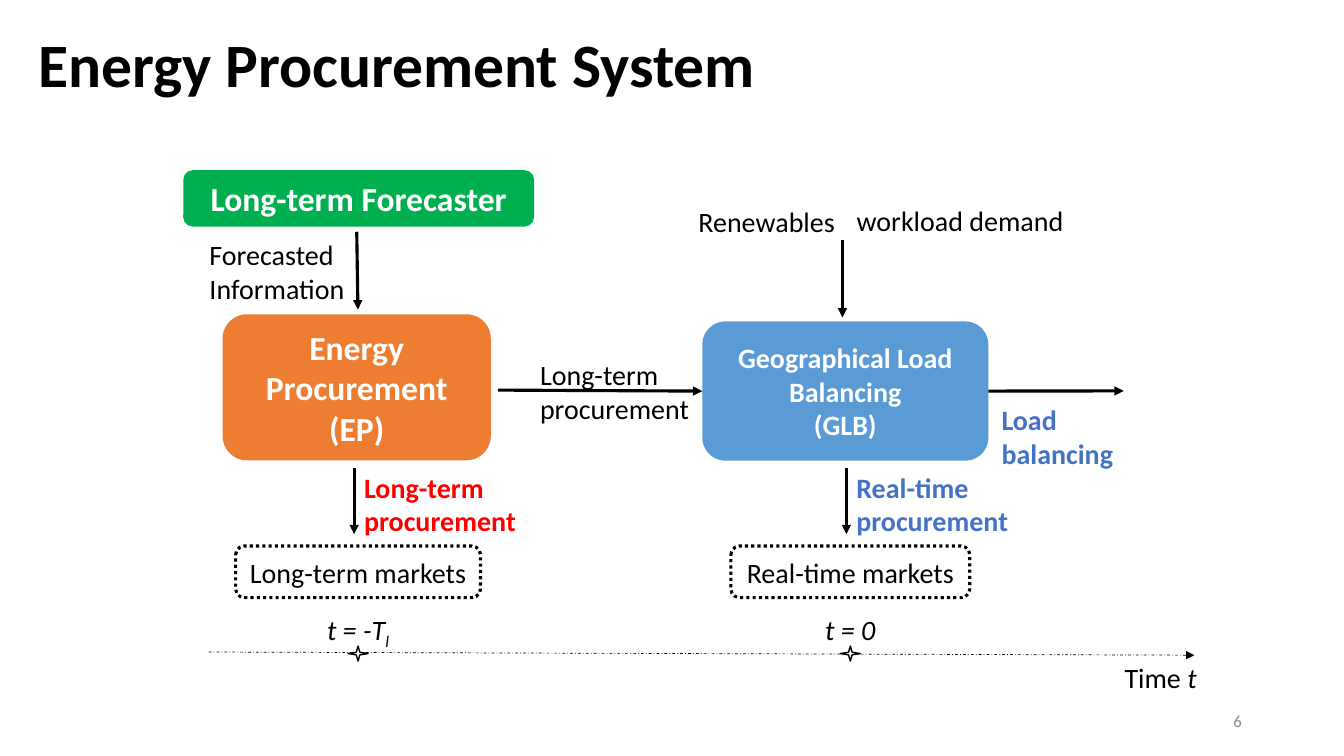
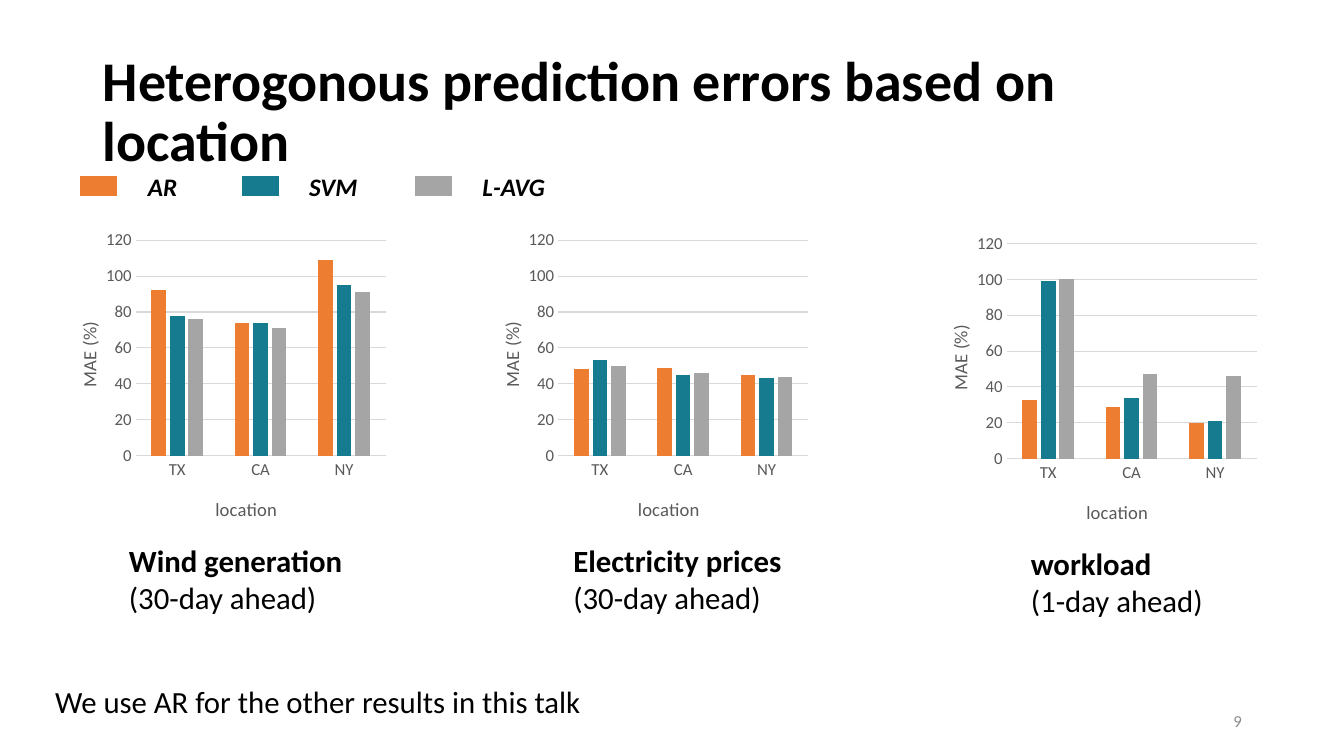
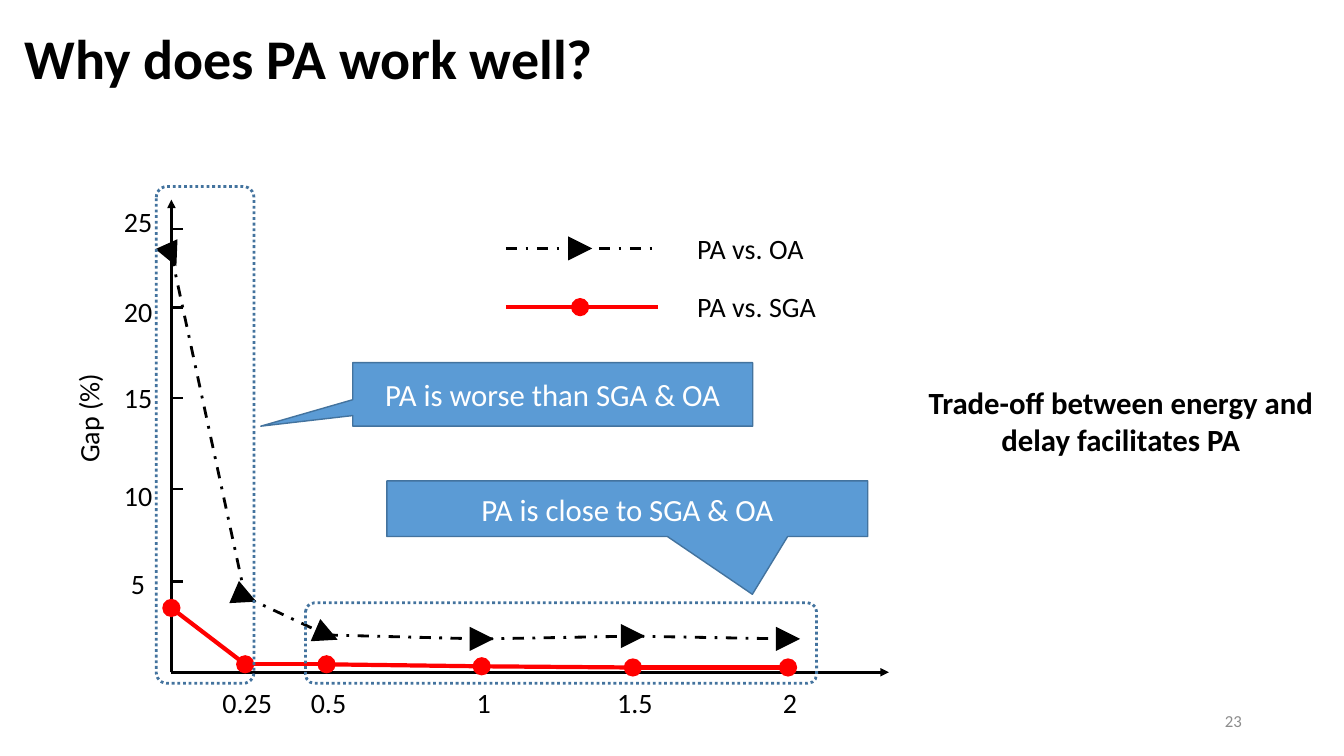
import dataclasses
import itertools

import lxml.etree
import pptx
import pptx.chart.data
import pptx.dml.color
import pptx.enum.chart
import pptx.enum.dml
import pptx.enum.shapes
import pptx.enum.text
import pptx.oxml
import pptx.oxml.ns
import pptx.util

Cm = pptx.util.Cm
SHAPE = pptx.enum.shapes.MSO_SHAPE
DASH = pptx.enum.dml.MSO_LINE
ALIGN = pptx.enum.text.PP_ALIGN
ANCHOR = pptx.enum.text.MSO_ANCHOR
qn = pptx.oxml.ns.qn

FONT = "Calibri"
COLOURS = {
    "black": "000000", "white": "FFFFFF", "red": "FF0000", "green": "00B050",
    "orange": "ED7D31", "blue": "5B9BD5", "label blue": "4472C4",
    "outline": "43739E", "teal": "167B8F", "silver": "A5A5A5",
    "axis text": "595959", "grid": "D9D9D9", "number": "8C8C8C",
}


@dataclasses.dataclass
class Box:
    """A region in centimetres."""
    left: float
    top: float
    width: float
    height: float

    def inner(self, left, top, width, height):
        return Box(self.left + left, self.top + top, width, height)

    def point(self, x, y):
        return self.left + x, self.top + y

    def lengths(self):
        return Cm(self.left), Cm(self.top), Cm(self.width), Cm(self.height)


PAGE = Box(0, 0, 33.87, 19.05)


# ---- Shared helpers ----

def colour_of(name):
    return pptx.dml.color.RGBColor.from_string(COLOURS[name])


def style_font(font, size, colour="black", bold=False, italic=False):
    font.name = FONT
    font.size = pptx.util.Pt(size)
    font.bold = bold
    font.italic = italic
    font.color.rgb = colour_of(colour)


def write(frame, paras, size=20, align=ALIGN.LEFT, anchor=ANCHOR.TOP,
          wrap=True, spacing=None, **style):
    """Each paragraph is a string or a list of (text, style changes)."""
    frame.word_wrap = wrap
    frame.vertical_anchor = anchor
    for index, spans in enumerate(paras):
        para = frame.paragraphs[0] if index == 0 else frame.add_paragraph()
        para.alignment = align
        if spacing:
            para.line_spacing = spacing
        for text, changes in [(spans, {})] if isinstance(spans, str) else spans:
            span = para.add_run()
            span.text = text
            changes = dict(changes)
            baseline = changes.pop("baseline", None)
            style_font(span.font, size, **{**style, **changes})
            if baseline:
                span.font._element.set("baseline", baseline)


def add_text(page, box, paras, **options):
    shape = page.shapes.add_textbox(*box.lengths())
    write(shape.text_frame, paras, **options)
    return shape


def add_shape(page, kind, box, fill=None, outline=None, weight=1, dash=None,
              adjust=(), paras=(), **options):
    shape = page.shapes.add_shape(kind, *box.lengths())
    shape.shadow.inherit = False
    if fill:
        shape.fill.solid()
        shape.fill.fore_color.rgb = colour_of(fill)
    else:
        shape.fill.background()
    if outline:
        shape.line.color.rgb = colour_of(outline)
        shape.line.width = pptx.util.Pt(weight)
        if dash:
            shape.line.dash_style = dash
    else:
        shape.line.fill.background()
    for index, value in enumerate(adjust):
        shape.adjustments[index] = value
    write(shape.text_frame, paras, align=ALIGN.CENTER, anchor=ANCHOR.MIDDLE, **options)
    return shape


def add_line(page, start, end, colour="black", weight=2.25, dash=None, arrow=False):
    line = page.shapes.add_connector(
        pptx.enum.shapes.MSO_CONNECTOR.STRAIGHT,
        *(Cm(value) for value in (*start, *end)))
    line.line.color.rgb = colour_of(colour)
    line.line.width = pptx.util.Pt(weight)
    if dash:
        line.line.dash_style = dash
    if arrow:
        outline = line.line._get_or_add_ln()
        lxml.etree.SubElement(outline, qn("a:tailEnd"), type="triangle")
    lxml.etree.SubElement(line._element.spPr, qn("a:effectLst"))
    return line


def add_page(deck, title, title_box, title_size, number):
    page = deck.slides.add_slide(deck.slide_layouts[6])
    add_text(page, title_box, [title], size=title_size, bold=True,
             anchor=ANCHOR.MIDDLE, spacing=0.9)
    add_text(page, PAGE.inner(23.93, 17.65, 7.62, 1.02), [number], size=12,
             colour="number", align=ALIGN.RIGHT, anchor=ANCHOR.MIDDLE)
    return page


# ---- Energy procurement system ----

def add_market_branch(page, box, label, colour, market, moment):
    """Arrow from a stage down to its market and its mark on the time line."""
    centre = box.width / 2
    add_line(page, box.point(centre - 0.1, 0.2), box.point(centre - 0.1, 1.86), arrow=True)
    add_text(page, box.inner(centre - 0.1, 0.12, 4.75, 1.96), [label],
             colour=colour, bold=True)
    add_shape(page, SHAPE.ROUNDED_RECTANGLE, box.inner(0, 2.16, box.width, 1.3),
              outline="black", weight=2.25, dash=DASH.ROUND_DOT, paras=[market])
    add_text(page, box.inner(centre - 1.13, 3.7, 2.26, 1.12), [moment],
             italic=True, align=ALIGN.CENTER, wrap=False)
    add_shape(page, SHAPE.STAR_4_POINT, box.inner(centre - 0.25, 4.68, 0.5, 0.38),
              fill="white", outline="black")


def add_procurement_diagram(page, box):
    # Forecaster and the two stages
    add_shape(page, SHAPE.ROUNDED_RECTANGLE, box.inner(0, 0, 8.84, 1.42), fill="green",
              paras=["Long-term Forecaster"], size=24, colour="white", bold=True)
    add_shape(page, SHAPE.ROUNDED_RECTANGLE, box.inner(0.99, 3.63, 6.76, 3.68),
              fill="orange", paras=["Energy Procurement (EP)"], size=24,
              colour="white", bold=True)
    balancer = add_shape(page, SHAPE.ROUNDED_RECTANGLE, box.inner(13.08, 3.81, 7.21, 3.51),
                         fill="blue", paras=["Geographical Load Balancing", "(GLB)"],
                         colour="white", bold=True)

    # Flows between them
    add_line(page, box.point(4.37, 1.55), box.point(4.4, 3.51), arrow=True)
    add_line(page, box.point(16.61, 1.76), box.point(16.61, 3.71), arrow=True)
    supply = add_line(page, box.point(7.93, 5.54), box.point(13.08, 5.57), arrow=True)
    supply.end_connect(balancer, 1)
    output = add_line(page, box.point(20.29, 5.57), box.point(23.7, 5.56), arrow=True)
    output.begin_connect(balancer, 3)
    for left, top, width, height, paras in (
            (0.41, 1.58, 3.94, 1.96, ["Forecasted", "Information"]),
            (8.74, 4.6, 4.47, 1.96, ["Long-term", "procurement"]),
            (12.73, 0.74, 3.99, 1.12, ["Renewables"]),
            (16.72, 0.71, 5.92, 1.12, ["workload demand"]),
            (23.47, 12.22, 2.36, 1.12, [[("Time ", {}), ("t", {"italic": True})]])):
        add_text(page, box.inner(left, top, width, height), paras, wrap=False)
    add_text(page, box.inner(20.37, 5.74, 3.89, 1.96), ["Load balancing"],
             colour="label blue", bold=True)

    # Time line and markets
    add_line(page, box.point(0.64, 12.14), box.point(25.48, 12.22), weight=0.5,
             dash=DASH.DASH_DOT, arrow=True)
    add_market_branch(page, box.inner(1.32, 7.31, 6.17, 5.07), "Long-term procurement",
                      "red", "Long-term markets",
                      [("t = -T", {}), ("l", {"baseline": "-25000"})])
    add_market_branch(page, box.inner(13.8, 7.31, 6.02, 5.07), "Real-time procurement",
                      "label blue", "Real-time markets", "t = 0")


# ---- Prediction errors ----

PREDICTORS = (("AR", "orange"), ("SVM", "teal"), ("L-AVG", "silver"))


def set_layout(parent, index, **fractions):
    """Place a chart part by fractions of the chart's size."""
    for old in parent.findall(qn("c:layout")):
        parent.remove(old)
    layout = parent.makeelement(qn("c:layout"))
    parent.insert(index, layout)
    manual = lxml.etree.SubElement(layout, qn("c:manualLayout"))
    if "w" in fractions:
        lxml.etree.SubElement(manual, qn("c:layoutTarget"), val="inner")
    for name in ("xMode", "yMode"):
        lxml.etree.SubElement(manual, qn("c:" + name), val="edge")
    for name, value in fractions.items():
        lxml.etree.SubElement(manual, qn("c:" + name), val=str(value))


def style_axis(axis, title, rotation, x, y):
    axis.major_tick_mark = pptx.enum.chart.XL_TICK_MARK.NONE
    style_font(axis.tick_labels.font, 12, "axis text")
    frame = axis.axis_title.text_frame
    span = frame.paragraphs[0].add_run()
    span.text = title
    style_font(span.font, 13.3, "axis text")
    frame._txBody.bodyPr.set("rot", rotation)
    frame._txBody.bodyPr.set("vert", "horz")
    set_layout(axis.axis_title._element, 1, x=x, y=y)


def add_error_panel(page, box, values, caption, horizon, caption_left):
    data = pptx.chart.data.CategoryChartData()
    data.categories = ["TX", "CA", "NY"]
    for index, row in enumerate(values, 1):
        data.add_series(f"Series {index}", row)
    chart = page.shapes.add_chart(pptx.enum.chart.XL_CHART_TYPE.COLUMN_CLUSTERED,
                                  *box.lengths(), data).chart
    chart.has_legend = False
    chart.has_title = False
    style_font(chart.font, 10)
    set_layout(chart._chartSpace.chart.plotArea, 0, x=0.26, y=0.05, w=0.72, h=0.69)

    # Columns
    plot = chart.plots[0]
    plot.gap_width = 219
    plot.overlap = -27
    plot.vary_by_categories = False
    for series, (_, colour) in zip(plot.series, PREDICTORS):
        series.format.fill.solid()
        series.format.fill.fore_color.rgb = colour_of(colour)

    # Axes
    style_axis(chart.category_axis, "location", "0", 0.48, 0.86)
    chart.category_axis.format.line.color.rgb = colour_of("grid")
    style_axis(chart.value_axis, "MAE (%)", "-5400000", 0.08, 0.3)
    scale = chart.value_axis
    scale.minimum_scale, scale.maximum_scale, scale.major_unit = 0, 120, 20
    scale.format.line.fill.background()
    scale.major_gridlines.format.line.color.rgb = colour_of("grid")
    scale.major_gridlines.format.line.width = pptx.util.Pt(0.75)

    add_text(page, box.inner(caption_left, box.height, 7, 2.13),
             [[(caption, {"bold": True})], horizon], size=22)


def add_predictor_key(page, box):
    for (name, colour), left in zip(PREDICTORS, (0, 4.06, 8.43)):
        add_shape(page, SHAPE.RECTANGLE, box.inner(left, 0.23, 0.97, 0.53),
                  fill=colour, outline="white")
        add_text(page, box.inner(left + 1.47, 0, 2.11, box.height), [name],
                 size=18, bold=True, italic=True)


# ---- Gap plot ----

X_POSITIONS = (0, 1.86, 3.91, 7.82, 11.63, 15.54)


def add_marker(page, centre, turn=None):
    """A red dot, or a black triangle when a turn is given."""
    kind, size, fill = ((SHAPE.OVAL, 0.46, "red") if turn is None
                        else (SHAPE.ISOSCELES_TRIANGLE, 0.61, "black"))
    x, y = centre
    marker = add_shape(page, kind, Box(x - size / 2, y - size / 2, size, size), fill=fill)
    marker.rotation = turn or 0


def add_curve(page, points, turns, **style):
    for start, end in itertools.pairwise(points):
        add_line(page, start, end, **style)
    for point, turn in zip(points, turns):
        add_marker(page, point, turn)


def add_gap_plot(page, box):
    # Axes, ticks and tick labels
    origin = box.point(0, box.height)
    add_line(page, origin, box.point(box.width, box.height), weight=2, arrow=True)
    add_line(page, origin, box.point(0, 0), weight=2, arrow=True)
    for label, tick, middle in (("5", 9.63, 9.68), ("10", 7.29, 7.47), ("15", 5, 5),
                                ("20", 2.72, 2.82), ("25", 0.74, 0.56)):
        add_line(page, box.point(0.28, tick), box.point(0, tick), weight=2)
        add_text(page, box.inner(-1.46, middle - 0.56, 1.24, 1.12), [label],
                 align=ALIGN.CENTER, wrap=False)
    for label, x in zip(("0.25", "0.5", "1", "1.5", "2"), X_POSITIONS[1:]):
        if label != "0.25":
            add_line(page, box.point(x, box.height - 0.28), box.point(x, box.height), weight=2)
        add_text(page, box.inner(x - 0.84, box.height + 0.2, 1.78, 1.12), [label],
                 align=ALIGN.CENTER, wrap=False)
    title = add_text(page, box.inner(-3.48, 4.93, 2.79, 1.12), ["Gap (%)"], wrap=False)
    title.rotation = 270

    # Curves and their key
    dashed = {"weight": 2, "dash": DASH.DASH_DOT}
    solid = {"weight": 3, "colour": "red"}
    for name, heights, turns, style, key_top in (
            ("PA vs. SGA", (10.29, 11.71, 11.71, 11.76, 11.79, 11.79), [None] * 6, solid, 2.71),
            ("PA vs. OA", (1.4, 10.01, 10.97, 11.07, 11, 11.07),
             [155.8, 113.4, 113.4, 90, 90, 90], dashed, 1.23)):
        points = [box.point(x, y) for x, y in zip(X_POSITIONS, heights)]
        add_curve(page, points, turns, **style)
        add_line(page, box.point(8.43, key_top), box.point(12.25, key_top), **style)
        add_marker(page, box.point(10.3, key_top), turns[-1])
        add_text(page, box.inner(13, key_top - 0.56, 3.53, 1.12), [name], wrap=False)

    # Highlighted ranges and remarks
    for frame in (box.inner(-0.38, -0.33, 2.46, 12.52), box.inner(3.38, 10.16, 12.88, 2.03)):
        add_shape(page, SHAPE.ROUNDED_RECTANGLE, frame, outline="outline", weight=2,
                  dash=DASH.ROUND_DOT, adjust=(0.11,))
    for frame, pointer, remark in (
            (box.inner(4.57, 4.11, 10.08, 1.6), (-0.73, 0.5), "PA is worse than SGA & OA"),
            (box.inner(5.43, 7.09, 12.12, 1.4), (0.26, 1.54), "PA is close to SGA & OA")):
        add_shape(page, SHAPE.RECTANGULAR_CALLOUT, frame, fill="blue", outline="outline",
                  adjust=pointer, paras=[remark], size=22, colour="white")


def main():
    deck = pptx.Presentation()
    deck.slide_width, deck.slide_height = Cm(PAGE.width), Cm(PAGE.height)

    page = add_page(deck, "Energy Procurement System",
                    PAGE.inner(0.71, 0.23, 29.21, 2.95), 44, "6")
    add_procurement_diagram(page, PAGE.inner(4.62, 4.29, 25.48, 13.34))

    page = add_page(deck, "Heterogonous prediction errors based on location",
                    PAGE.inner(2.34, 1.02, 29.21, 3.68), 40, "9")
    add_predictor_key(page, PAGE.inner(2.01, 4.19, 11.96, 1.02))
    for left, top, values, caption, horizon, caption_left in (
            (1.14, 5.66, ((92, 74, 109), (78, 74, 95), (76, 71, 91)),
             "Wind generation", "(30-day ahead)", 1.86),
            (11.79, 5.66, ((48, 49, 45), (53, 45, 43), (50, 46, 44)),
             "Electricity prices", "(30-day ahead)", 2.41),
            (23.09, 5.74, ((33, 29, 20), (99, 34, 21), (100, 47, 46)),
             "workload", "(1-day ahead)", 2.64)):
        add_error_panel(page, PAGE.inner(left, top, 8.76, 7.87), values,
                        caption, horizon, caption_left)
    add_text(page, PAGE.inner(1.14, 17.09, 13.92, 1.19),
             ["We use AR for the other results in this talk"], size=22, wrap=False)

    page = add_page(deck, "Why does PA work well?",
                    PAGE.inner(0.38, 0.36, 31.37, 2.39), 40, "23")
    add_gap_plot(page, PAGE.inner(4.32, 5.03, 18.08, 11.91))
    add_text(page, PAGE.inner(22.63, 9.55, 11.23, 2.13),
             ["Trade-off between energy and delay facilitates PA"],
             size=22, bold=True, align=ALIGN.CENTER)

    deck.save("out.pptx")


if __name__ == "__main__":
    main()
